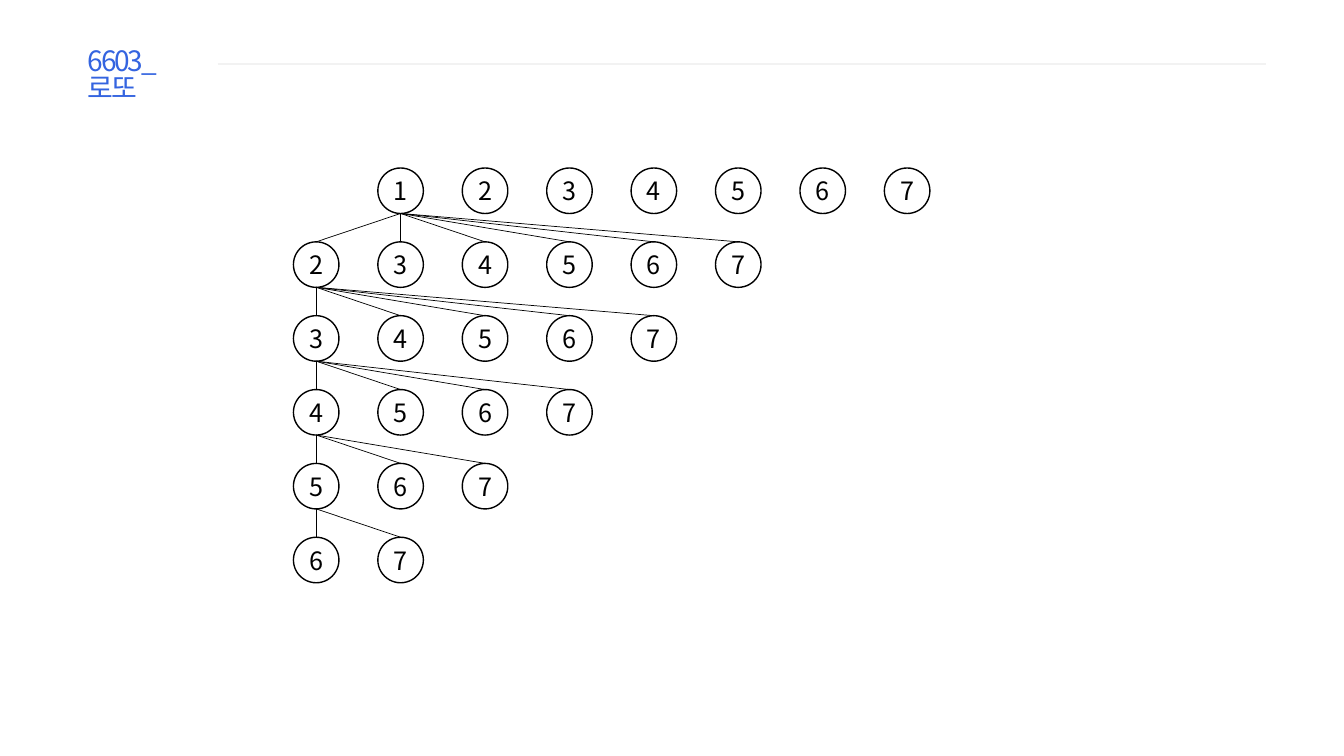
import dataclasses

import pptx
import pptx.dml.color
import pptx.enum.dml
import pptx.enum.shapes
import pptx.enum.text
import pptx.oxml.ns
import pptx.util
from lxml import etree

Pt = pptx.util.Pt
rgb = pptx.dml.color.RGBColor.from_string


@dataclasses.dataclass(frozen=True)
class Theme:
    """Colours, font and sizes of the slide."""
    font: str = "Noto Sans CJK KR"
    title_start: str = "3464E0"
    title_end: str = "4270E2"
    rule: str = "F2F2F2"
    ink: str = "000000"
    title_size: float = 20
    node_size: float = 18
    title_tracking: float = -1.5


class Board:
    """Draws elements on one slide in one style."""

    def __init__(self, slide, theme):
        """Keep the slide and its theme."""
        self.shapes = slide.shapes
        self.theme = theme

    def add_text(self, paragraph, text, size):
        """Add a run in the theme font, for Latin and Korean alike."""
        run = paragraph.add_run()
        run.text = text
        run.font.size = Pt(size)
        run.font.name = self.theme.font
        east_asian = etree.SubElement(run.font._element, pptx.oxml.ns.qn("a:ea"))
        east_asian.set("typeface", self.theme.font)
        return run

    def title(self, text, left, top, width, height):
        """Add the tightly tracked gradient title, wrapped before the name."""
        frame = self.shapes.add_textbox(Pt(left), Pt(top), Pt(width), Pt(height)).text_frame
        frame.word_wrap = True
        frame.margin_right = Pt(36)
        frame.margin_top = Pt(5)
        paragraph = frame.paragraphs[0]
        paragraph.line_spacing = 0.82
        run = self.add_text(paragraph, text, self.theme.title_size)
        run.font._element.set("spc", str(int(self.theme.title_tracking * 100)))
        fill = run.font.fill
        fill.gradient()
        fill.gradient_angle = 180
        for stop, colour in zip(fill.gradient_stops, (self.theme.title_start, self.theme.title_end)):
            stop.color.rgb = rgb(colour)

    def line(self, start, end, colour, width):
        """Add a straight line without shadow."""
        link = self.shapes.add_connector(
            pptx.enum.shapes.MSO_CONNECTOR.STRAIGHT, *map(Pt, (*start, *end)))
        link.line.color.rgb = rgb(colour)
        link.line.width = Pt(width)
        etree.SubElement(link._element.spPr, pptx.oxml.ns.qn("a:effectLst"))

    def node(self, number, left, top, diameter):
        """Add an outlined circle holding a number."""
        circle = self.shapes.add_shape(
            pptx.enum.shapes.MSO_SHAPE.OVAL, *map(Pt, (left, top, diameter, diameter)))
        circle.shadow.inherit = False
        circle.fill.background()
        circle.line.color.rgb = rgb(self.theme.ink)
        circle.line.width = Pt(1)
        frame = circle.text_frame
        frame.margin_left = frame.margin_right = frame.margin_top = frame.margin_bottom = 0
        frame.vertical_anchor = pptx.enum.text.MSO_ANCHOR.MIDDLE
        paragraph = frame.paragraphs[0]
        paragraph.alignment = pptx.enum.text.PP_ALIGN.CENTER
        run = self.add_text(paragraph, str(number), self.theme.node_size)
        run.font.color.rgb = rgb(self.theme.ink)


LARGEST = 7
LEVELS = 6
DIAMETER = 32.5
TREE_LEFT, TREE_TOP = 209.6, 120
COLUMN_STEP, ROW_STEP = 60.3, 52.75


def place(level, index):
    """Return the corner of a node; the first level starts one column in."""
    column = index + (level == 1)
    return TREE_LEFT + column * COLUMN_STEP, TREE_TOP + (level - 1) * ROW_STEP


def draw_tree(board):
    """Draw each level's candidates, then link them to the chosen parent."""
    for level in range(1, LEVELS + 1):
        for index, number in enumerate(range(level, LARGEST + 1)):
            board.node(number, *place(level, index), DIAMETER)
    for level in range(2, LEVELS + 1):
        parent_left, parent_top = place(level - 1, 0)
        parent_foot = parent_left + DIAMETER / 2, parent_top + DIAMETER
        for index in range(LARGEST - level + 1):
            child_left, child_top = place(level, index)
            board.line(parent_foot, (child_left + DIAMETER / 2, child_top), board.theme.ink, 0.5)


def main():
    """Build and save the slide."""
    deck = pptx.Presentation()
    deck.slide_width, deck.slide_height = Pt(960), Pt(540)
    theme = Theme()
    board = Board(deck.slides.add_slide(deck.slide_layouts[6]), theme)
    board.title("6603_로또", 55.5, 30.2, 100, 31.5)
    board.line((155.5, 45.5), (904.5, 45.5), theme.rule, 1.5)
    draw_tree(board)
    deck.save("out.pptx")


main()
